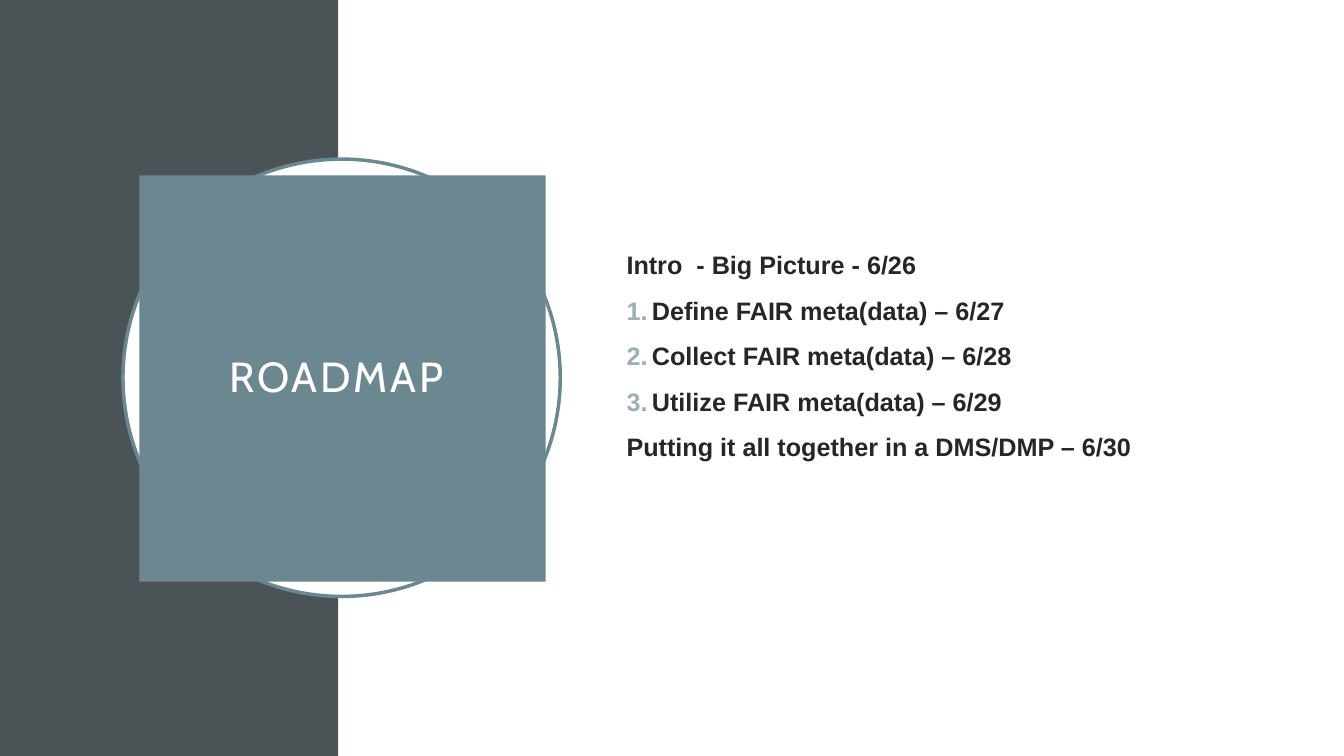
import pptx
import pptx.dml.color
import pptx.enum.shapes
import pptx.enum.text
import pptx.oxml
import pptx.oxml.ns
import pptx.util
from pptx.util import Cm

SLIDE_WIDTH, SLIDE_HEIGHT = 33.87, 19.05
PANEL_WIDTH = 8.53
SLATE, TEAL, PALE_TEAL = "4A5356", "6B8891", "9BAFB5"
WHITE, INK = "FFFFFF", "262626"
AGENDA = [
    ("Intro  - Big Picture - 6/26", False),
    ("Define FAIR meta(data) – 6/27", True),
    ("Collect FAIR meta(data) – 6/28", True),
    ("Utilize FAIR meta(data) – 6/29", True),
    ("Putting it all together in a DMS/DMP – 6/30", False),
]


def paint(color_format, color):
    """Give a fill or a font colour the hex colour."""
    color_format.rgb = pptx.dml.color.RGBColor.from_string(color)


def fill_shape(shape, color):
    """Fill a shape with one solid colour."""
    shape.fill.solid()
    paint(shape.fill.fore_color, color)


def add_solid(page, kind, left, top, width, height, color, outline=None):
    """Add a flat preset shape, measured in centimetres."""
    shape = page.shapes.add_shape(kind, Cm(left), Cm(top), Cm(width), Cm(height))
    shape.shadow.inherit = False
    fill_shape(shape, color)
    if outline:
        paint(shape.line.color, outline)
        shape.line.width = pptx.util.Pt(2.5)
    else:
        shape.line.fill.background()
    return shape


def format_run(span, font, size, color, bold=False):
    """Set the font of a run."""
    span.font.name = font
    span.font.size = pptx.util.Pt(size)
    span.font.bold = bold
    paint(span.font.color, color)


def number_paragraph(para, color):
    """Give a paragraph a coloured automatic number and a hanging indent."""
    properties = para._p.get_or_add_pPr()
    properties.set("marL", str(Cm(0.64)))
    properties.set("indent", str(Cm(-0.64)))
    namespace = pptx.oxml.ns.nsdecls("a")
    for markup in (
        f'<a:buClr {namespace}><a:srgbClr val="{color}"/></a:buClr>',
        f'<a:buFont {namespace} typeface="+mj-lt"/>',
        f'<a:buAutoNum {namespace} type="arabicPeriod"/>',
    ):
        properties.append(pptx.oxml.parse_xml(markup))


def place_title(page, text):
    """Format the title placeholder as a block in front of the ring."""
    title = page.shapes.title
    page.shapes._spTree.append(title._element)
    title.left, title.top = Cm(3.51), Cm(4.42)
    title.width = title.height = Cm(10.24)
    fill_shape(title, TEAL)
    frame = title.text_frame
    frame.text = text
    frame.word_wrap = True
    frame.auto_size = pptx.enum.text.MSO_AUTO_SIZE.NONE
    frame.vertical_anchor = pptx.enum.text.MSO_ANCHOR.MIDDLE
    frame.margin_left = frame.margin_right = Cm(0.51)
    frame.margin_top = frame.margin_bottom = Cm(0.51)
    para = frame.paragraphs[0]
    para.alignment = pptx.enum.text.PP_ALIGN.CENTER
    para.line_spacing = 0.9
    span = para.runs[0]
    format_run(span, "Cabin", 30, WHITE)
    span.font._element.set("spc", "200")


def add_agenda(page, entries):
    """Add the agenda text, with numbers on the main sessions."""
    box = page.shapes.add_textbox(Cm(15.54), Cm(3.89), Cm(14.78), Cm(11.25))
    frame = box.text_frame
    frame.word_wrap = True
    frame.vertical_anchor = pptx.enum.text.MSO_ANCHOR.MIDDLE
    frame.margin_bottom = Cm(1.24)
    frame.text = "\n".join(text for text, numbered in entries)
    for para, (text, numbered) in zip(frame.paragraphs, entries):
        para.space_before = pptx.util.Pt(10.9)
        format_run(para.runs[0], "Arial", 18, INK, bold=True)
        if numbered:
            number_paragraph(para, PALE_TEAL)


def main():
    """Build the roadmap slide and save it."""
    deck = pptx.Presentation()
    deck.slide_width, deck.slide_height = Cm(SLIDE_WIDTH), Cm(SLIDE_HEIGHT)
    page = deck.slides.add_slide(deck.slide_layouts.get_by_name("Title Only"))
    shapes = pptx.enum.shapes.MSO_SHAPE
    add_solid(page, shapes.RECTANGLE, 0, 0, PANEL_WIDTH, SLIDE_HEIGHT, SLATE)
    add_solid(page, shapes.RECTANGLE, PANEL_WIDTH, 0,
              SLIDE_WIDTH - PANEL_WIDTH, SLIDE_HEIGHT, WHITE)
    add_solid(page, shapes.OVAL, 3.1, 4.01, 11.02, 11.02, WHITE, outline=TEAL)
    place_title(page, "ROADMAP ")
    add_agenda(page, AGENDA)
    deck.save("out.pptx")


if __name__ == "__main__":
    main()
